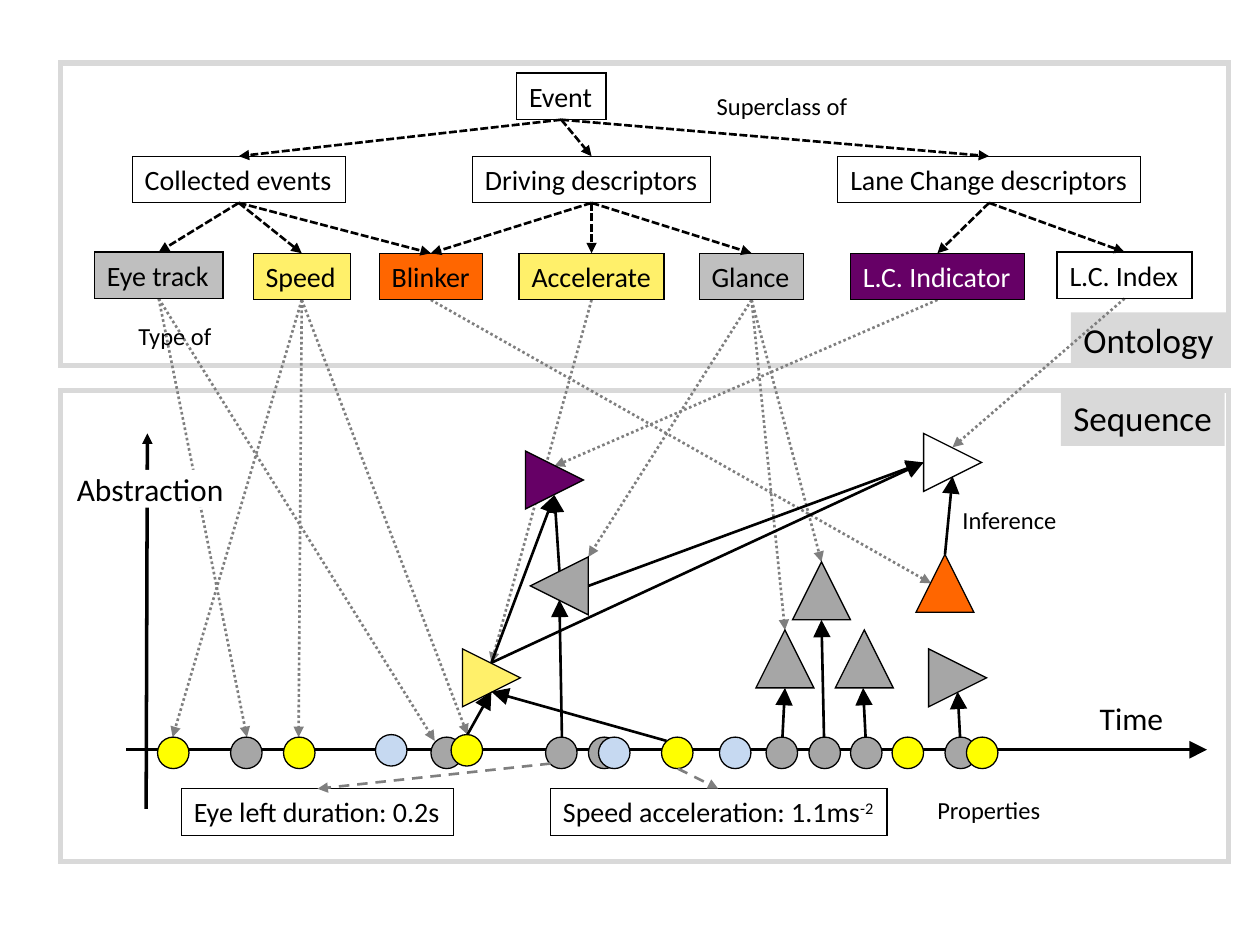
from lxml import etree
from pptx import Presentation
from pptx.dml.color import RGBColor
from pptx.enum.dml import MSO_LINE_DASH_STYLE as Dash
from pptx.enum.shapes import MSO_CONNECTOR, MSO_SHAPE as Shape
from pptx.enum.text import MSO_ANCHOR, MSO_AUTO_SIZE, PP_ALIGN
from pptx.oxml.ns import qn
from pptx.util import Inches, Pt

COLORS = {
    "black": "000000", "white": "FFFFFF", "frame": "D9D9D9",
    "silver": "BFBFBF", "gray": "A6A6A6", "link": "7F7F7F",
    "sand": "FFF06A", "yellow": "FFFF00", "blue": "C6D9F1",
    "purple": "660066", "orange": "FF6600",
}
FONT = "Calibri"
BOX_HEIGHT = 0.37
EVENT_SIZE = 0.25
EVENT_TOP = 5.85
TRIANGLE_SIZE = 0.46

CLASSES = {
    "Event": (4.1, 0.58, 0.71, None),
    "Collected events": (1.05, 1.24, 1.69, None),
    "Driving descriptors": (3.75, 1.24, 1.89, None),
    "Lane Change descriptors": (6.65, 1.24, 2.4, None),
    "Eye track": (0.75, 2, 1.02, "silver"),
    "Speed": (2.01, 2.01, 0.77, "sand"),
    "Blinker": (3.01, 2.01, 0.82, "orange"),
    "Accelerate": (4.12, 2.01, 1.15, "sand"),
    "Glance": (5.55, 2.01, 0.83, "silver"),
    "L.C. Indicator": (6.75, 2.01, 1.38, "purple"),
    "L.C. Index": (8.39, 2, 1.07, None),
}
SUBCLASSES = {
    "Event": ["Collected events", "Driving descriptors", "Lane Change descriptors"],
    "Collected events": ["Eye track", "Speed", "Blinker"],
    "Driving descriptors": ["Blinker", "Accelerate", "Glance"],
    "Lane Change descriptors": ["L.C. Indicator", "L.C. Index"],
}
INSTANCES = {
    "Eye track": [(3.45, 5.88), (1.96, 5.85)],
    "Speed": [(1.37, 5.85), (2.37, 5.85), (3.71, 5.83)],
    "Blinker": [(7.39, 4.63)],
    "Accelerate": [(3.9, 5.26)],
    "Glance": [(4.67, 4.42), (6.23, 5), (6.52, 4.46)],
    "L.C. Indicator": [(4.4, 3.7)],
    "L.C. Index": [(7.56, 3.55)],
}
EVENTS = [
    (1.25, EVENT_TOP, "yellow"), (1.83, EVENT_TOP, "gray"),
    (2.25, EVENT_TOP, "yellow"), (2.98, 5.83, "blue"),
    (3.42, EVENT_TOP, "gray"), (3.58, 5.83, "yellow"),
    (4.33, EVENT_TOP, "gray"), (4.67, EVENT_TOP, "gray"),
    (4.75, EVENT_TOP, "blue"), (5.25, EVENT_TOP, "yellow"),
    (5.71, EVENT_TOP, "blue"), (6.08, EVENT_TOP, "gray"),
    (6.42, EVENT_TOP, "gray"), (6.75, EVENT_TOP, "gray"),
    (7.08, EVENT_TOP, "yellow"), (7.5, EVENT_TOP, "gray"),
    (7.67, EVENT_TOP, "yellow"),
]
DESCRIPTORS = [
    (3.67, 5.15, 90, "sand"), (4.21, 4.42, 270, "gray"),
    (6, 5, 0, "gray"), (6.29, 4.46, 0, "gray"), (6.63, 5, 0, "gray"),
    (7.33, 3.44, 90, "white"), (4.17, 3.58, 90, "purple"),
    (7.37, 5.15, 90, "gray"), (7.27, 4.4, 0, "orange"),
]
INFERENCES = [
    ((3.9, 5.26), (4.4, 3.93)), ((4.44, 4.53), (4.4, 3.93)),
    ((3.71, 5.83), (3.9, 5.49)), ((5.29, 5.88), (3.9, 5.49)),
    ((4.46, 5.85), (4.44, 4.76)), ((6.21, 5.85), (6.23, 5.46)),
    ((6.54, 5.85), (6.52, 4.92)), ((6.87, 5.85), (6.85, 5.46)),
    ((7.62, 5.85), (7.6, 5.49)), ((3.9, 5.26), (7.33, 3.67)),
    ((7.5, 4.4), (7.56, 3.78)), ((4.67, 4.65), (7.33, 3.67)),
]
CAPTIONS = [
    ("Superclass of", 5.59, 0.67, 1.24), ("Type of", 1, 2.5, 0.79),
    ("Inference", 7.54, 3.96, 0.95), ("Properties", 7.34, 6.26, 1.02),
]


def rgb(name):
    return RGBColor.from_string(COLORS[name])


def add_figure(slide, preset, left, top, width, height, fill=None, line="black", weight=0.75):
    figure = slide.shapes.add_shape(
        preset, Inches(left), Inches(top), Inches(width), Inches(height))
    figure.shadow.inherit = False
    if fill:
        figure.fill.solid()
        figure.fill.fore_color.rgb = rgb(fill)
    else:
        figure.fill.background()
    if line:
        figure.line.color.rgb = rgb(line)
        figure.line.width = Pt(weight)
        etree.SubElement(figure.line._get_or_add_ln(), qn("a:miter"), lim="800000")
    else:
        figure.line.fill.background()
    return figure


def write(holder, text, size, color="black", superscript=None, inset=True):
    frame = holder.text_frame
    frame.word_wrap = False
    frame.auto_size = MSO_AUTO_SIZE.SHAPE_TO_FIT_TEXT
    frame.vertical_anchor = MSO_ANCHOR.TOP
    frame.margin_left = frame.margin_right = Inches(0.1 if inset else 0)
    frame.margin_top = frame.margin_bottom = Inches(0.05 if inset else 0)
    paragraph = frame.paragraphs[0]
    paragraph.alignment = PP_ALIGN.LEFT
    for part in filter(None, (text, superscript)):
        run = paragraph.add_run()
        run.text = part
        run.font.name = FONT
        run.font.size = Pt(size)
        run.font.color.rgb = rgb(color)
    if superscript:
        run.font._element.set("baseline", "30000")


def add_box(slide, text, left, top, width, fill=None, superscript=None):
    box = add_figure(slide, Shape.RECTANGLE, left, top, width, BOX_HEIGHT, fill)
    write(box, text, 16, "white" if fill == "purple" else "black", superscript)


def add_label(slide, text, left, top, width, height, fill, size, inset=True):
    label = add_figure(slide, Shape.RECTANGLE, left, top, width, height, fill, None)
    write(label, text, size, inset=inset)


def add_caption(slide, text, left, top, width):
    caption = slide.shapes.add_textbox(
        Inches(left), Inches(top), Inches(width), Inches(0.34))
    write(caption, text, 14)


def add_arrow(slide, start, end, color="black", dash=None, weight=1.5, head="med"):
    arrow = slide.shapes.add_connector(
        MSO_CONNECTOR.STRAIGHT, *map(Inches, (*start, *end)))
    arrow.line.color.rgb = rgb(color)
    arrow.line.width = Pt(weight)
    if dash:
        arrow.line.dash_style = dash
    etree.SubElement(arrow.line._get_or_add_ln(), qn("a:tailEnd"),
                     type="triangle", w=head, len=head)
    etree.SubElement(arrow._element.spPr, qn("a:effectLst"))


def class_top(name):
    left, top, width, _ = CLASSES[name]
    return left + width / 2, top


def class_bottom(name):
    center, top = class_top(name)
    return center, top + BOX_HEIGHT


def add_ontology(slide):
    for name, (left, top, width, fill) in CLASSES.items():
        add_box(slide, name, left, top, width, fill)
    for parent, children in SUBCLASSES.items():
        for child in children:
            add_arrow(slide, class_bottom(parent), class_top(child), dash=Dash.SQUARE_DOT)


def add_instance_links(slide):
    for name, targets in INSTANCES.items():
        for target in targets:
            add_arrow(slide, class_bottom(name), target, "link", Dash.ROUND_DOT)


def add_sequence(slide):
    add_arrow(slide, (1, 5.95), (9.58, 5.95), weight=2, head="lg")
    add_arrow(slide, (1.16, 6.42), (1.17, 3.44), weight=2)
    for left, top, fill in EVENTS:
        add_figure(slide, Shape.OVAL, left, top, EVENT_SIZE, EVENT_SIZE, fill)
    for left, top, rotation, fill in DESCRIPTORS:
        descriptor = add_figure(slide, Shape.ISOSCELES_TRIANGLE, left, top,
                                TRIANGLE_SIZE, TRIANGLE_SIZE, fill)
        descriptor.rotation = rotation
    for start, end in INFERENCES:
        add_arrow(slide, start, end, head="lg")
    add_label(slide, "Abstraction", 0.61, 3.73, 1.17, 0.3, "white", 18, inset=False)
    add_label(slide, "Time", 8.63, 5.5, 0.7, 0.4, "white", 18)


def add_properties(slide):
    add_box(slide, "Eye left duration: 0.2s", 1.44, 6.26, 2.16)
    add_box(slide, "Speed acceleration: 1.1ms", 4.37, 6.26, 2.67, superscript="-2")
    add_arrow(slide, (4.37, 6.06), (2.52, 6.26), "link", Dash.DASH)
    add_arrow(slide, (5.38, 6.1), (5.7, 6.26), "link", Dash.DASH)


def main():
    deck = Presentation()
    deck.slide_width, deck.slide_height = Inches(10), Inches(7.5)
    slide = deck.slides.add_slide(deck.slide_layouts[6])
    for top, height in ((0.5, 2.4), (3.1, 3.74)):
        add_figure(slide, Shape.RECTANGLE, 0.48, top, 9.27, height, line="frame", weight=3)
    add_label(slide, "Ontology", 8.5, 2.48, 1.24, 0.44, "frame", 20)
    add_label(slide, "Sequence", 8.42, 3.1, 1.3, 0.44, "frame", 20)
    add_instance_links(slide)
    add_sequence(slide)
    add_ontology(slide)
    add_properties(slide)
    for caption in CAPTIONS:
        add_caption(slide, *caption)
    deck.save("out.pptx")


if __name__ == "__main__":
    main()
